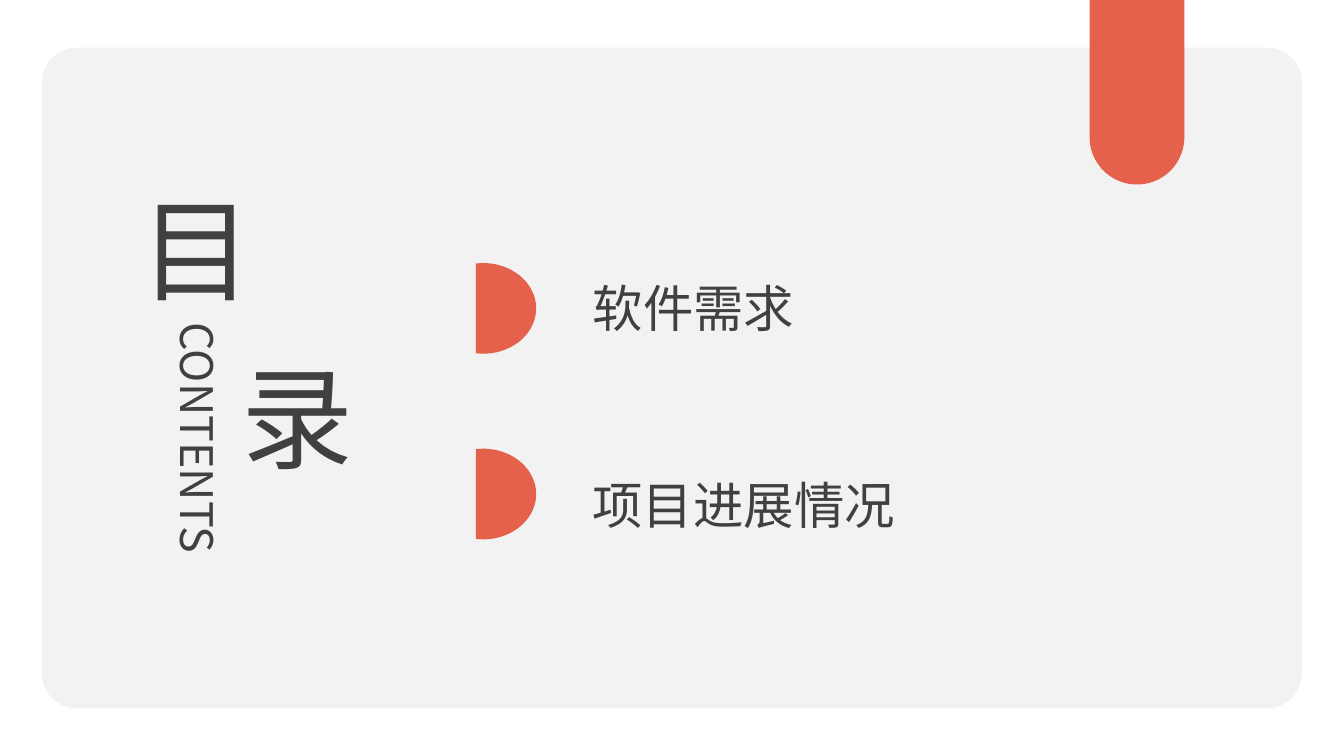
"""Build the contents slide with two agenda items."""
from math import cos, pi, sin

from lxml import etree
from pptx import Presentation
from pptx.dml.color import RGBColor
from pptx.enum.shapes import MSO_SHAPE
from pptx.enum.text import MSO_ANCHOR, MSO_AUTO_SIZE, PP_ALIGN
from pptx.oxml.ns import qn
from pptx.util import Pt

ROUNDED = MSO_SHAPE.ROUNDED_RECTANGLE
ROUNDED_PAIR = MSO_SHAPE.ROUND_2_SAME_RECTANGLE
TOP = MSO_ANCHOR.TOP
LEFT = PP_ALIGN.LEFT
NO_FIT = MSO_AUTO_SIZE.NONE
FONT = "Noto Sans CJK SC"
INK, CORAL, PANEL = "404040", "E5614B", "F2F2F2"


def paint(shape, color):
    shape.shadow.inherit = False
    shape.fill.solid()
    shape.fill.fore_color.rgb = RGBColor.from_string(color)
    shape.line.fill.background()


def write(box, text, size, wrap=False):
    frame = box.text_frame
    frame.auto_size = NO_FIT
    frame.word_wrap = wrap
    frame.vertical_anchor = TOP
    para = frame.paragraphs[0]
    para.alignment = LEFT
    para.line_spacing = 1.0
    span = para.add_run()
    span.text = text
    span.font.size = Pt(size)
    span.font.name = FONT
    span.font.color.rgb = RGBColor.from_string(INK)
    east_asian = etree.SubElement(span.font._element, qn("a:ea"))
    east_asian.set("typeface", FONT)


deck = Presentation()
deck.slide_width, deck.slide_height = Pt(960), Pt(540)
page = deck.slides.add_slide(deck.slide_layouts[5])
shapes = page.shapes

panel = shapes.add_shape(ROUNDED, Pt(30), Pt(34), Pt(900), Pt(472))
panel.adjustments[0] = 0.053
paint(panel, PANEL)

ribbon = shapes.add_shape(ROUNDED_PAIR, Pt(778.3), Pt(0), Pt(67.7), Pt(131.8))
ribbon.adjustments[0] = 0
ribbon.adjustments[1] = 0.5
paint(ribbon, CORAL)

for text, left, top in [("目", 93.6, 125.3), ("录", 165.6, 245.5)]:
    box = shapes.add_textbox(Pt(left), Pt(top), Pt(95), Pt(104.4))
    write(box, text, 80)

title = shapes.title
title.left, title.top, title.width, title.height = Pt(115.2), Pt(226.8), Pt(53.3), Pt(215.3)
write(title, "CONTENTS", 32, wrap=True)
title.text_frame._txBody.bodyPr.set("vert", "eaVert")
title.element.getparent().append(title.element)

STEPS = 48
items = [("软件需求", 220.3, 194.4, 159.8), ("项目进展情况", 352.9, 334.8, 232.6)]
for text, middle, top, width in items:
    arc = [(345 + 38 * sin(pi * step / STEPS), middle - 32.4 * cos(pi * step / STEPS))
           for step in range(STEPS + 1)]
    outline = [(340, middle - 32.1), *arc, (340, middle + 32.1)]
    points = [(Pt(x), Pt(y)) for x, y in outline]
    builder = shapes.build_freeform(*points[0])
    builder.add_line_segments(points[1:], close=True)
    paint(builder.convert_to_shape(), CORAL)

    box = shapes.add_textbox(Pt(416.2), Pt(top), Pt(width), Pt(51.1))
    write(box, text, 36)

deck.save("out.pptx")
